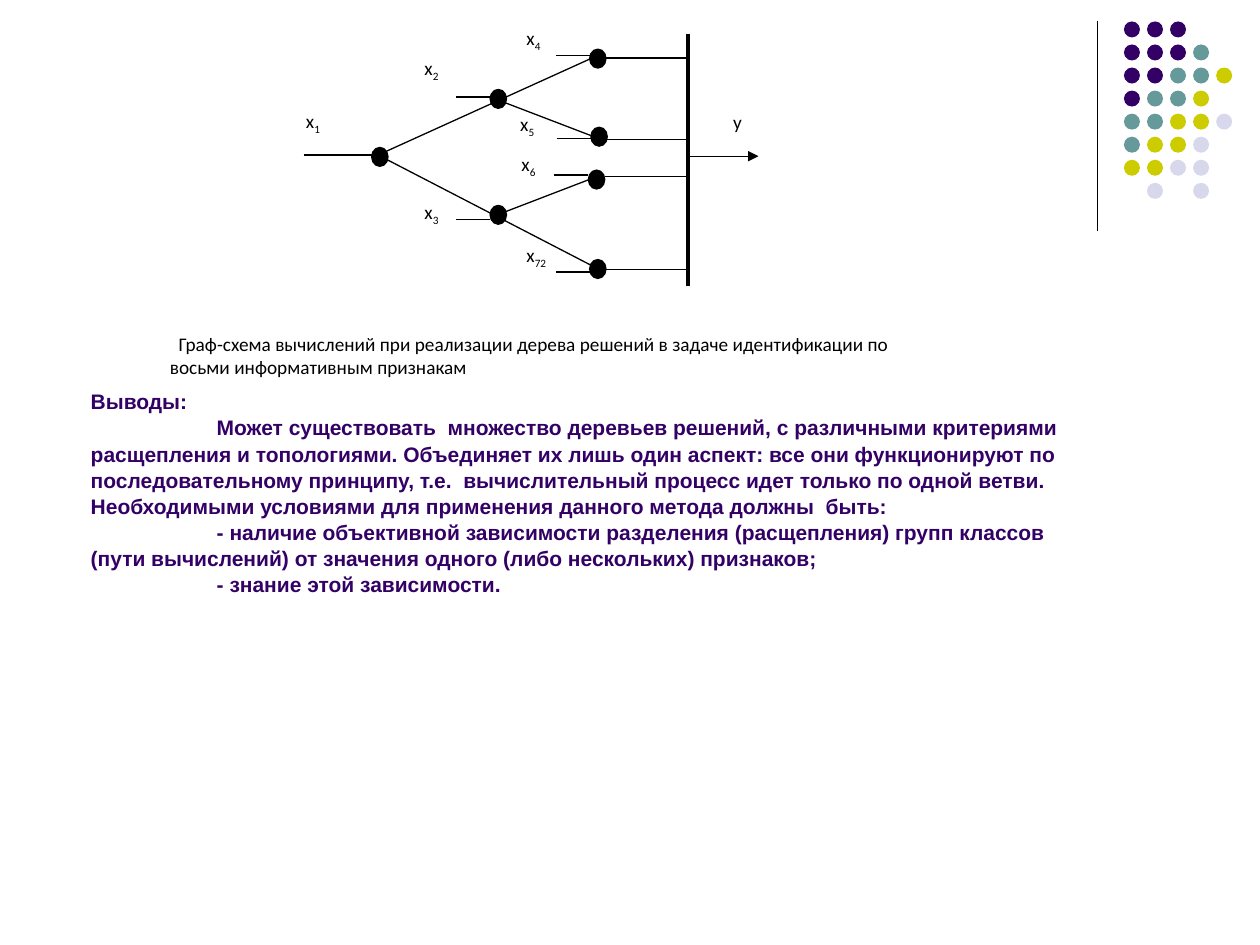
from lxml import etree
from pptx import Presentation
from pptx import util as u
from pptx.dml.color import RGBColor
from pptx.enum import shapes, text
from pptx.oxml.ns import qn

BLACK = RGBColor(0x00, 0x00, 0x00)
WHITE = RGBColor(0xFF, 0xFF, 0xFF)
PURPLE = RGBColor(0x33, 0x00, 0x66)
TEAL = RGBColor(0x66, 0x99, 0x99)
OLIVE = RGBColor(0xCC, 0xCC, 0x00)
LILAC = RGBColor(0xD8, 0xD8, 0xEC)

deck = Presentation()
deck.slide_width, deck.slide_height = u.Inches(10), u.Inches(7.5)
page = deck.slides.add_slide(deck.slide_layouts[5])

# The page is a grid of 100 columns by 75 rows
COLUMN = deck.slide_width / 100
ROW = deck.slide_height / 75


def grid(left, top, width, height):
    return [round(n * unit) for n, unit in zip((left, top, width, height), (COLUMN, ROW) * 2)]


def add_line(x1, y1, x2, y2, points=0.75):
    line = page.shapes.add_connector(shapes.MSO_CONNECTOR.STRAIGHT, *grid(x1, y1, x2, y2))
    line.line.color.rgb = BLACK
    line.line.width = u.Pt(points)
    etree.SubElement(line._element.spPr, qn("a:effectLst"))
    return line


# Corner ornament: rule and coloured dots
add_line(87.1, 1.7, 87.1, 18.3)
DOT_COLOURS = {"P": PURPLE, "T": TEAL, "O": OLIVE, "L": LILAC}
DOT_ROWS = ["PPP", "PPPT", "PPTTO", "PTTO", "TTOOL", "TOOL", "OOLL", " L L"]
DOT_STEP = 1.83
for row, pattern in enumerate(DOT_ROWS):
    for column, key in enumerate(pattern):
        if key in DOT_COLOURS:
            dot = page.shapes.add_shape(
                shapes.MSO_SHAPE.OVAL,
                *grid(89.2 + column * DOT_STEP, 1.7 + row * DOT_STEP, 1.27, 1.27))
            dot.shadow.inherit = False
            dot.fill.solid()
            dot.fill.fore_color.rgb = DOT_COLOURS[key]
            dot.line.fill.background()

# Tree branches
for branch in [(29.8, 12.4, 47, 4.6), (30, 12.3, 47, 21.1),
               (38.9, 7.7, 47, 10.8), (39.6, 17, 46.9, 14.2)]:
    add_line(*branch)

# Nodes: index, left, top, input row, input length, output row, label left and top
NODE_WIDTH, NODE_HEIGHT = 1.3, 1.5
BAR = 54.6
NODES = [
    ("1", 29.5, 11.7, 12.3, 5.4, None, 23.3, 8.2),
    ("2", 38.9, 7.1, 7.7, 2.7, None, 32.7, 4),
    ("3", 38.9, 16.3, 17.4, 2.7, None, 32.7, 15.4),
    ("4", 46.8, 3.9, 4.4, 2.7, 4.6, 40.8, 1.6),
    ("5", 46.9, 10.1, 11, 2.7, 11.1, 40.3, 8.4),
    ("6", 46.7, 13.5, 13.9, 2.7, 14, 40.4, 11.6),
    ("72", 46.8, 20.6, 21.6, 2.7, 21.4, 40.8, 18.8),
]
labels = [("y", "", 57.2, 8.3)]
for index, left, top, input_row, length, output_row, label_left, label_top in NODES:
    node = page.shapes.add_shape(shapes.MSO_SHAPE.OVAL, *grid(left, top, NODE_WIDTH, NODE_HEIGHT))
    node.shadow.inherit = False
    node.fill.solid()
    node.fill.fore_color.rgb = BLACK
    node.line.color.rgb = BLACK
    node.line.width = u.Pt(0.75)
    add_line(left - length, input_row, left, input_row)
    if output_row:
        add_line(left + NODE_WIDTH, output_row, BAR, output_row)
    labels.append(("x", index, label_left, label_top))

# Collecting bar and output arrow
add_line(BAR, 2.7, BAR, 22.7, 2.25)
arrow = add_line(54.8, 12.4, 60.2, 12.4)
etree.SubElement(arrow.line._get_or_add_ln(), qn("a:tailEnd"), type="triangle")

# Variable labels with subscripts
for letter, index, left, top in labels:
    box = page.shapes.add_textbox(*grid(left, top, 4, 4.6))
    box.text_frame.word_wrap = True
    para = box.text_frame.paragraphs[0]
    for part in filter(None, (letter, index)):
        span = para.add_run()
        span.text = part
        span.font.name, span.font.size = "Calibri", u.Pt(11)
        span.font.color.rgb = BLACK
        if part == index:
            span.font._element.set("baseline", "-25000")

# Caption
caption = page.shapes.add_shape(shapes.MSO_SHAPE.RECTANGLE, *grid(12.5, 25.9, 59.4, 7.7))
caption.shadow.inherit = False
caption.fill.solid()
caption.fill.fore_color.rgb = WHITE
caption.line.fill.background()
caption.text_frame.word_wrap = True
caption.text_frame.vertical_anchor = text.MSO_ANCHOR.TOP
para = caption.text_frame.paragraphs[0]
para.alignment = text.PP_ALIGN.LEFT
para._p.get_or_add_pPr().set("indent", str(u.Inches(0.07)))
span = para.add_run()
span.text = ("Граф-схема вычислений при реализации дерева решений в задаче "
             "идентификации по восьми информативным признакам")
span.font.name, span.font.size = "Calibri", u.Pt(11)
span.font.color.rgb = BLACK

# Conclusions in the title, placed in front of the caption
title = page.shapes.title
title.element.getparent().append(title.element)
title.left, title.top, title.width, title.height = grid(6.2, 30.5, 82.5, 19.4)
frame = title.text_frame
frame.word_wrap = True
frame.auto_size = text.MSO_AUTO_SIZE.NONE
frame.vertical_anchor = text.MSO_ANCHOR.BOTTOM
frame.margin_bottom = u.Inches(0.25)
para = frame.paragraphs[0]
para.alignment = text.PP_ALIGN.LEFT
para.line_spacing = 1.04
tabs = etree.SubElement(para._p.get_or_add_pPr(), qn("a:tabLst"))
for stop in range(8):
    etree.SubElement(tabs, qn("a:tab"), pos=str(u.Inches(stop)), algn="l")

CONCLUSIONS = [
    "Выводы:",
    "\tМожет существовать  множество деревьев решений, с различными критериями "
    "расщепления и топологиями. Объединяет их лишь один аспект: все они функционируют по "
    "последовательному принципу, т.е.  вычислительный процесс идет только по одной ветви."
    "\tНеобходимыми условиями для применения данного метода должны  быть:",
    "\t- наличие объективной зависимости разделения (расщепления) групп классов "
    "(пути вычислений) от значения одного (либо нескольких) признаков;",
    "\t- знание этой зависимости.",
]
for number, words in enumerate(CONCLUSIONS):
    if number:
        para.add_line_break()
    span = para.add_run()
    span.text = words
    span.font.name, span.font.size, span.font.bold = "Arial", u.Pt(12), True
    span.font.color.rgb = PURPLE
for line_break in para._p.findall(qn("a:br")):
    etree.SubElement(line_break, qn("a:rPr"), sz="1200")

deck.save("out.pptx")
